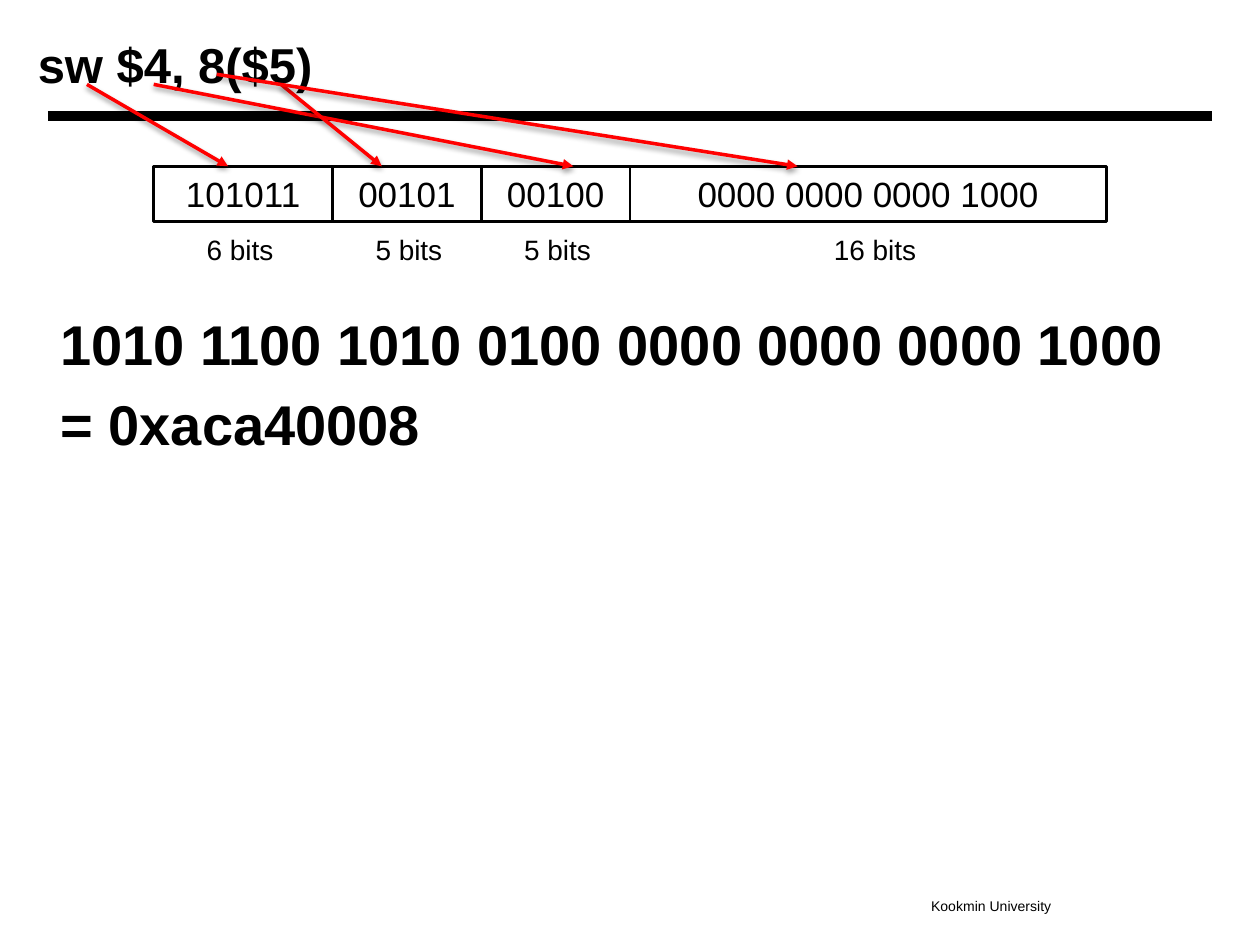
from dataclasses import dataclass

import lxml.etree
import pptx
import pptx.dml.color
import pptx.enum.shapes
import pptx.enum.text
import pptx.oxml
import pptx.oxml.ns
import pptx.util

Inches = pptx.util.Inches
Pt = pptx.util.Pt
ALIGN = pptx.enum.text.PP_ALIGN
ANCHOR = pptx.enum.text.MSO_ANCHOR
STRAIGHT = pptx.enum.shapes.MSO_CONNECTOR.STRAIGHT
RECTANGLE = pptx.enum.shapes.MSO_SHAPE.RECTANGLE


@dataclass(frozen=True)
class Theme:
    """Colours, font and type sizes of the slide."""
    ink: str = "000000"
    arrow: str = "FF0000"
    font: str = "Arial"
    title: int = 28
    body: int = 32
    field: int = 20
    bits: int = 16
    footer: int = 8


THEME = Theme()
FIELDS = [
    ("101011", 1.42, "6 bits", 1.58, 0.65),
    ("00101", 1.18, "5 bits", 2.92, 0.65),
    ("00100", 1.18, "5 bits", 4.1, 0.65),
    ("0000 0000 0000 1000", 3.78, "16 bits", 6.56, 0.77),
]
MAPPINGS = [
    ((0.69, 0.67), (1.81, 1.32)),
    ((1.22, 0.67), (4.55, 1.32)),
    ((2.23, 0.67), (3.03, 1.32)),
    ((1.72, 0.59), (6.33, 1.32)),
]
SHADOW = (
    '<a:effectLst %s><a:outerShdw blurRad="38100" dist="20320" dir="5400000" rotWithShape="0">'
    '<a:srgbClr val="000000"><a:alpha val="38000"/></a:srgbClr>'
    '</a:outerShdw></a:effectLst>' % pptx.oxml.ns.nsdecls("a")
)
NO_EFFECT = "<a:effectLst %s/>" % pptx.oxml.ns.nsdecls("a")


def rgb(value):
    """Return a colour from its hex value."""
    return pptx.dml.color.RGBColor.from_string(value)


def write(frame, lines, size, bold=False, align=ALIGN.LEFT, anchor=ANCHOR.TOP, wrap=True, gap=0):
    """Fill a text frame with one run per line."""
    frame.word_wrap = wrap
    frame.vertical_anchor = anchor
    frame.margin_left = frame.margin_right = Inches(0.05)
    frame.margin_top = frame.margin_bottom = Inches(0.05)
    for index, line in enumerate(lines):
        paragraph = frame.add_paragraph() if index else frame.paragraphs[0]
        paragraph.alignment = align
        if index:
            paragraph.space_before = Pt(gap)
        run = paragraph.add_run()
        run.text = line
        run.font.name = THEME.font
        run.font.size = Pt(size)
        run.font.bold = bold
        run.font.color.rgb = rgb(THEME.ink)


def add_text(slide, box, lines, size, **style):
    """Place a text box in the given box."""
    area = slide.shapes.add_textbox(*map(Inches, box))
    write(area.text_frame, lines, size, **style)


def add_line(slide, start, end, color, width, effect):
    """Draw a straight line with the given effect."""
    line = slide.shapes.add_connector(STRAIGHT, *map(Inches, start + end))
    line.line.color.rgb = rgb(color)
    line.line.width = Pt(width)
    line._element.spPr.append(pptx.oxml.parse_xml(effect))
    return line


def add_heading(slide, box):
    """Place the instruction and the rule under it."""
    add_line(slide, (0.38, 0.92), (9.62, 0.92), THEME.ink, 6, NO_EFFECT)
    add_text(slide, box, ["sw $4, 8($5)"], THEME.title, bold=True, anchor=ANCHOR.MIDDLE)


def add_encoding(slide, box):
    """Place the instruction fields side by side over their bit widths."""
    left, top, height = box
    for value, width, bits, bits_left, bits_width in FIELDS:
        field = slide.shapes.add_shape(RECTANGLE, *map(Inches, (left, top, width, height)))
        field.shadow.inherit = False
        field.fill.background()
        field.line.color.rgb = rgb(THEME.ink)
        field.line.width = Pt(1.5)
        write(field.text_frame, [value], THEME.field, align=ALIGN.CENTER)
        add_text(slide, (bits_left, top + 0.48, bits_width, 0.34), [bits], THEME.bits,
                 align=ALIGN.CENTER, wrap=False)
        left += width


def add_mappings(slide):
    """Draw the arrows from each operand to its field."""
    for operand, field in MAPPINGS:
        arrow = add_line(slide, operand, field, THEME.arrow, 2, SHADOW)
        outline = arrow.line._get_or_add_ln()
        lxml.etree.SubElement(outline, pptx.oxml.ns.qn("a:tailEnd"), type="triangle")


def main():
    """Build and save the slide."""
    deck = pptx.Presentation()
    deck.slide_width, deck.slide_height = Inches(10), Inches(7.5)
    slide = deck.slides.add_slide(deck.slide_layouts[6])
    add_text(slide, (7.34, 7.07, 1.06, 0.22), ["Kookmin University"], THEME.footer, wrap=False)
    add_heading(slide, (0.25, 0.17, 8.33, 0.67))
    add_text(slide, (0.43, 2.41, 9.17, 4.5),
             ["1010 1100 1010 0100 0000 0000 0000 1000", "= 0xaca40008"],
             THEME.body, bold=True, gap=7)
    add_encoding(slide, (1.22, 1.32, 0.44))
    add_mappings(slide)
    deck.save("out.pptx")


if __name__ == "__main__":
    main()
